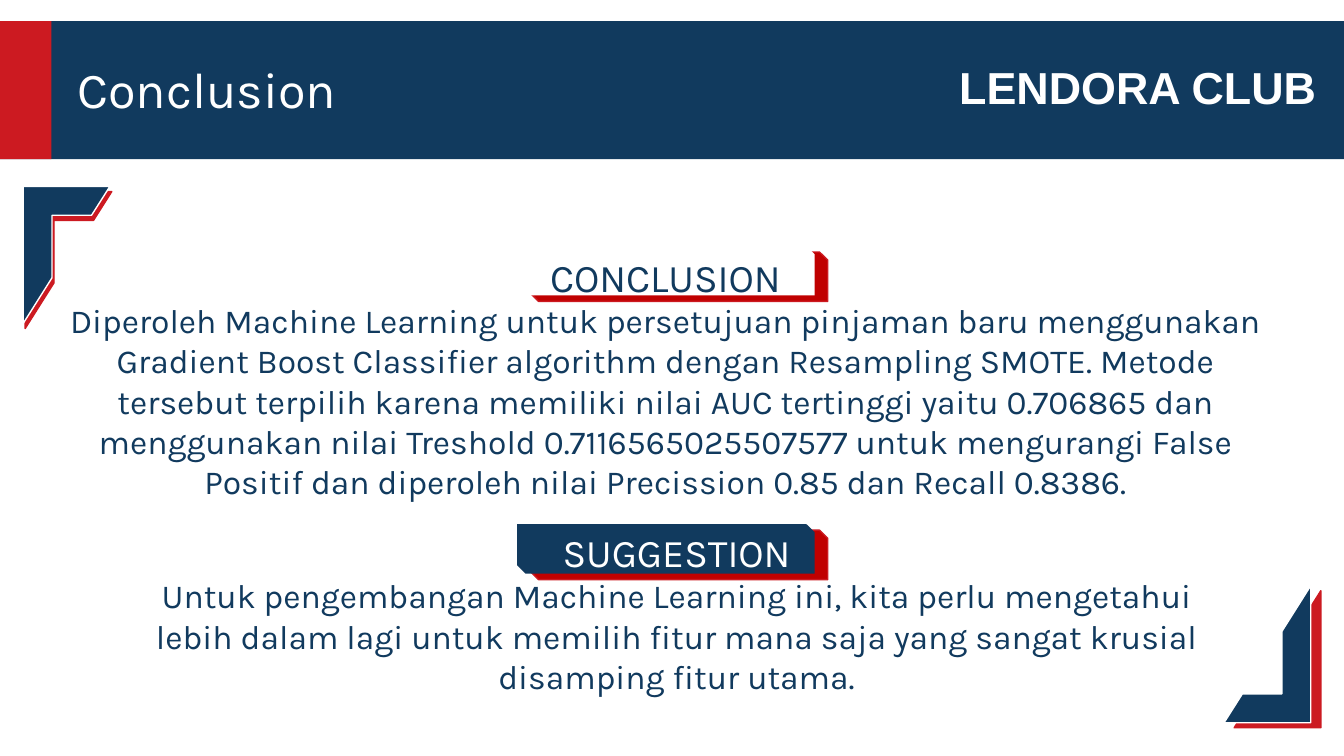
from pptx import Presentation
from pptx.dml.color import RGBColor
from pptx.enum.shapes import MSO_SHAPE
from pptx.enum.text import MSO_ANCHOR, PP_ALIGN
from pptx.util import Pt

UNIT = 9144  # EMU in one px, 100 px to the inch
NAVY, RED, DARK, WHITE = "113A5E", "CC1A21", "C00000", "FFFFFF"

FINDING = (
    "Diperoleh Machine Learning untuk persetujuan pinjaman baru menggunakan "
    "Gradient Boost Classifier algorithm dengan Resampling SMOTE. Metode "
    "tersebut terpilih karena memiliki nilai AUC tertinggi yaitu 0.706865 dan "
    "menggunakan nilai Treshold 0.7116565025507577 untuk mengurangi False "
    "Positif dan diperoleh nilai Precission 0.85 dan Recall 0.8386."
)
ADVICE = (
    "Untuk pengembangan Machine Learning ini, kita perlu mengetahui lebih "
    "dalam lagi untuk memilih fitur mana saja yang sangat krusial disamping "
    "fitur utama."
)


def px(*nums):
    return [num * UNIT for num in nums]


def color(code):
    return RGBColor.from_string(code)


def add_box(slide, kind, box, fill, line=None, turn=0):
    shape = slide.shapes.add_shape(kind, *px(*box))
    shape.shadow.inherit = False
    shape.rotation = turn
    shape.fill.solid()
    shape.fill.fore_color.rgb = color(fill)
    if line:
        shape.line.color.rgb = color(line)
        shape.line.width = Pt(1)
    else:
        shape.line.fill.background()


def add_tag(slide, top, fill):
    """Draw a heading plate over its red shade."""
    kind = MSO_SHAPE.SNIP_2_DIAG_RECTANGLE
    add_box(slide, kind, (526, top + 6, 295, 49), DARK, RED)
    add_box(slide, kind, (513, top, 295, 49), fill)


def add_frame(slide, left, top, shift, turn=0):
    """Draw a corner frame over its red shade."""
    kind = MSO_SHAPE.HALF_FRAME
    add_box(slide, kind, (left + shift, top + 5, 86, 136), RED, RED, turn)
    add_box(slide, kind, (left, top, 86, 136), NAVY, WHITE, turn)


def add_text(slide, box, lines, align=PP_ALIGN.CENTER,
             anchor=MSO_ANCHOR.TOP, font="Karla", bold=False):
    """Write one paragraph for each (text, size, colour)."""
    frame = slide.shapes.add_textbox(*px(*box)).text_frame
    frame.word_wrap = True
    frame.vertical_anchor = anchor
    for num, (text, size, code) in enumerate(lines):
        para = frame.add_paragraph() if num else frame.paragraphs[0]
        para.alignment = align
        run = para.add_run()
        run.text = text
        run.font.name = font
        run.font.size = Pt(size)
        run.font.bold = bold
        run.font.color.rgb = color(code)


def main():
    deck = Presentation()
    deck.slide_width, deck.slide_height = px(1333, 750)
    slide = deck.slides.add_slide(deck.slide_layouts[6])

    # Title band
    add_box(slide, MSO_SHAPE.RECTANGLE, (-13, 21, 1351, 137), NAVY)
    add_box(slide, MSO_SHAPE.RECTANGLE, (-18, 21, 69, 137), RED)
    add_text(slide, (731, 34, 795, 104), [("LENDORA CLUB", 32, WHITE)],
             anchor=MSO_ANCHOR.MIDDLE, font="Arial", bold=True)
    add_text(slide, (67, 56, 764, 63), [("Conclusion", 36, WHITE)],
             align=PP_ALIGN.LEFT, anchor=MSO_ANCHOR.MIDDLE)

    # Corner frames
    add_frame(slide, 23, 185, 2)
    add_frame(slide, 1214, 581, 10, turn=180)

    # Conclusion
    add_tag(slide, 244, WHITE)
    add_text(slide, (41, 246, 1238, 259),
             [("CONCLUSION", 28, NAVY), (FINDING, 24, NAVY)])

    # Suggestion
    add_tag(slide, 520, NAVY)
    add_text(slide, (109, 519, 1124, 178),
             [("SUGGESTION", 28, WHITE), (ADVICE, 24, NAVY)])

    deck.save("out.pptx")


if __name__ == "__main__":
    main()
